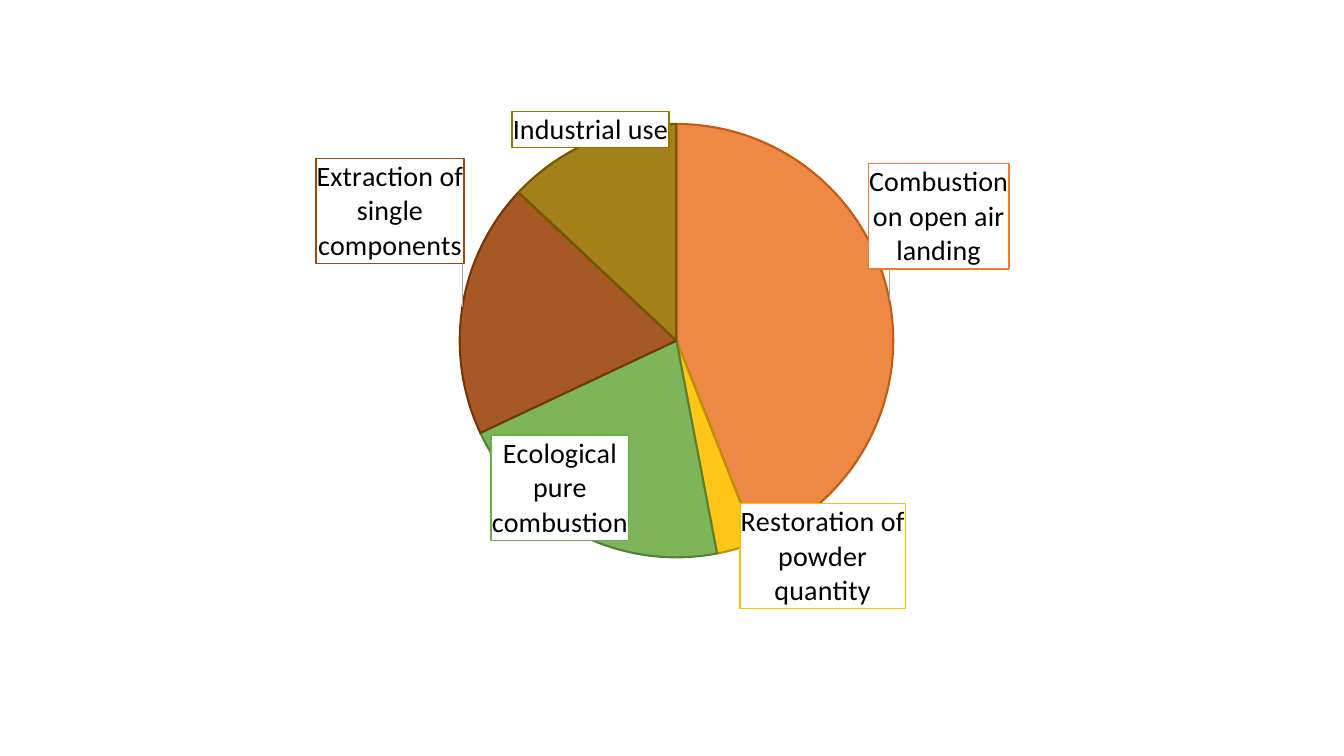
from lxml.etree import SubElement
from pptx import Presentation
from pptx.chart.data import CategoryChartData
from pptx.dml.color import RGBColor
from pptx.enum.chart import XL_CHART_TYPE, XL_LABEL_POSITION
from pptx.oxml import parse_xml
from pptx.oxml.ns import nsdecls, qn
from pptx.util import Inches, Pt

WIDTH, HEIGHT = 13.33, 7.5
PIE_LEFT, PIE_TOP, PIE_SIDE = 4.56, 1.23, 4.3
SLICES = [
    ("Combustion on open air landing", 44, "ED7D31", "C55A11", (0.14, -0.23)),
    ("Restoration of powder quantity", 3, "FFC000", "BF9000", (0.19, 0.11)),
    ("Ecological pure combustion", 21, "70AD47", "548235", (-0.1, 0.02)),
    ("Extraction of single components", 19, "9E480E", "76360A", (-0.17, -0.25)),
    ("Industrial use", 13, "997300", "735600", (-0.09, -0.06)),
]


def rgb(value):
    return RGBColor.from_string(value)


def set_font(font, size):
    for name, value in {"name": "Calibri", "size": Pt(size), "bold": False}.items():
        setattr(font, name, value)
    font.color.rgb = rgb("000000")


def layout_xml(**values):
    parts = "".join(f'<c:{k} val="{v}"/>' for k, v in values.items())
    return parse_xml(
        f'<c:layout {nsdecls("c")}><c:manualLayout>{parts}</c:manualLayout></c:layout>'
    )


def remove_children(parent, tag):
    for child in parent.findall(qn(tag)):
        parent.remove(child)


def place_plot(chart, **values):
    area = chart._chartSpace.chart.plotArea
    remove_children(area, "c:layout")
    area.insert(0, layout_xml(layoutTarget="inner", xMode="edge", yMode="edge", **values))


def style_slice(point, color, border):
    fill, line = point.format.fill, point.format.line
    fill.solid()
    fill.fore_color.rgb = rgb(color)
    line.color.rgb = rgb(border)
    line.width = Pt(1.5)


def fade_slices(series):
    for clr in series._element.xpath("./c:dPt/c:spPr/a:solidFill/a:srgbClr"):
        SubElement(clr, qn("a:alpha"), val="90000")


def add_box(labels, color, index):
    remove_children(labels, "c:spPr")
    labels.insert(index, parse_xml(
        f'<c:spPr {nsdecls("c", "a")}>'
        '<a:solidFill><a:srgbClr val="FFFFFF"/></a:solidFill>'
        f'<a:ln w="{Pt(1)}"><a:solidFill><a:srgbClr val="{color}"/></a:solidFill></a:ln>'
        '</c:spPr>'
    ))


def style_label(point, color, shift):
    label = point.data_label
    set_font(label.font, 20)
    label.position = XL_LABEL_POSITION.INSIDE_END
    item = label._dLbl
    remove_children(item, "c:layout")
    item.insert(1, layout_xml(x=shift[0], y=shift[1]))
    add_box(item, color, 2)
    for name, shown in {"showVal": "0", "showCatName": "1"}.items():
        item.find(qn(f"c:{name}")).set("val", shown)
    for body in item.iter(qn("a:bodyPr")):
        body.set("wrap", "square")


def style_all_labels(series, color):
    labels = series.data_labels
    set_font(labels.font, 20)
    labels.show_value = False
    labels.show_category_name = True
    labels.position = XL_LABEL_POSITION.INSIDE_END
    group = labels._element
    add_box(group, color, len(group.findall(qn("c:dLbl"))))
    remove_children(group, "c:leaderLines")
    group.find(qn("c:showLeaderLines")).addnext(parse_xml(
        f'<c:leaderLines {nsdecls("c", "a")}><c:spPr><a:ln w="{Pt(0.75)}"><a:solidFill>'
        '<a:srgbClr val="A6A6A6"/></a:solidFill></a:ln></c:spPr></c:leaderLines>'
    ))


def add_usage_pie(s, left, top, width, height):
    data = CategoryChartData()
    data.categories = [item[0] for item in SLICES]
    data.add_series("Series 1", [item[1] for item in SLICES])
    box = [Inches(v) for v in (left, top, width, height)]
    chart = s.shapes.add_chart(XL_CHART_TYPE.PIE, *box, data).chart
    chart.has_title = False
    chart.has_legend = False
    set_font(chart.font, 10)
    chart.plots[0].vary_by_categories = True
    place_plot(
        chart,
        x=(PIE_LEFT - left) / width,
        y=(PIE_TOP - top) / height,
        w=PIE_SIDE / width,
        h=PIE_SIDE / height,
    )
    series = chart.plots[0].series[0]
    for i, (_, _, color, border, shift) in enumerate(SLICES):
        point = series.points[i]
        style_slice(point, color, border)
        style_label(point, color, shift)
    fade_slices(series)
    style_all_labels(series, SLICES[0][2])


def main():
    prs = Presentation()
    prs.slide_width, prs.slide_height = Inches(WIDTH), Inches(HEIGHT)
    s = prs.slides.add_slide(prs.slide_layouts[6])
    add_usage_pie(s, WIDTH / 6, 0.79, WIDTH * 2 / 3, 5.93)
    prs.save("out.pptx")


if __name__ == "__main__":
    main()
